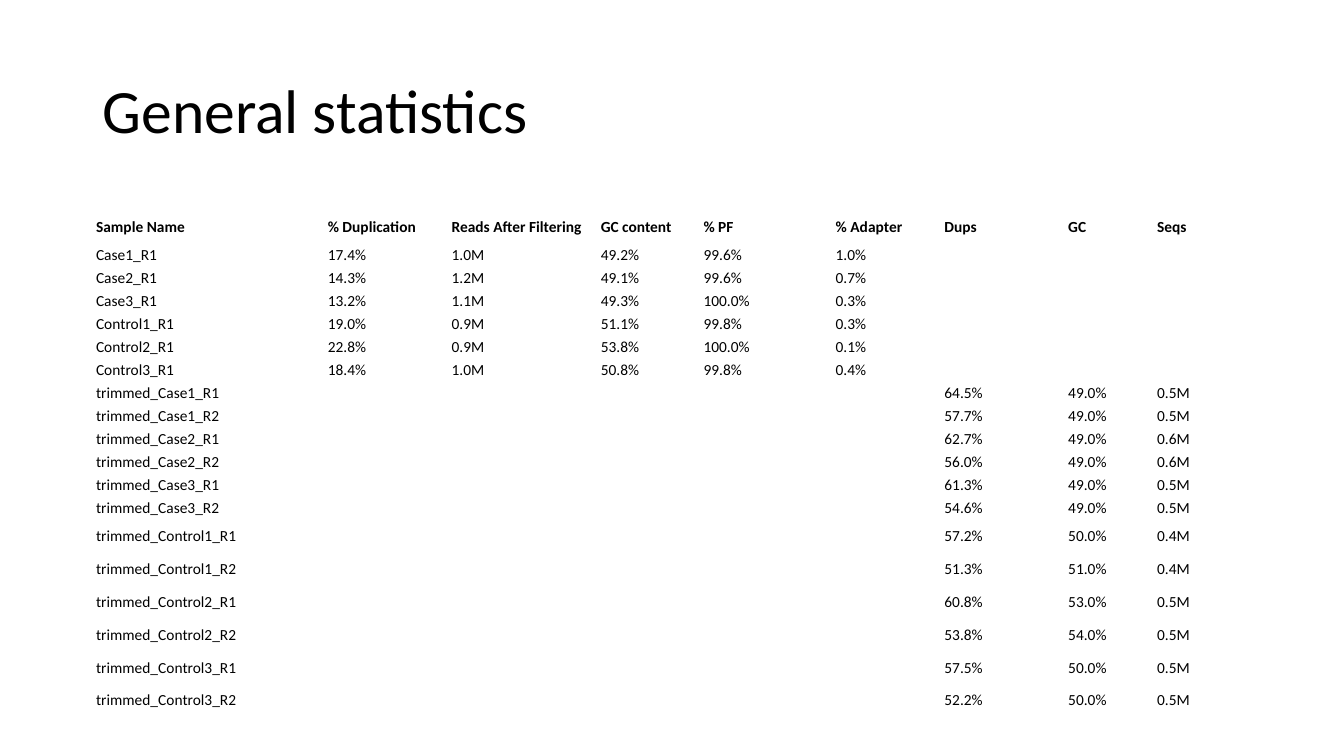
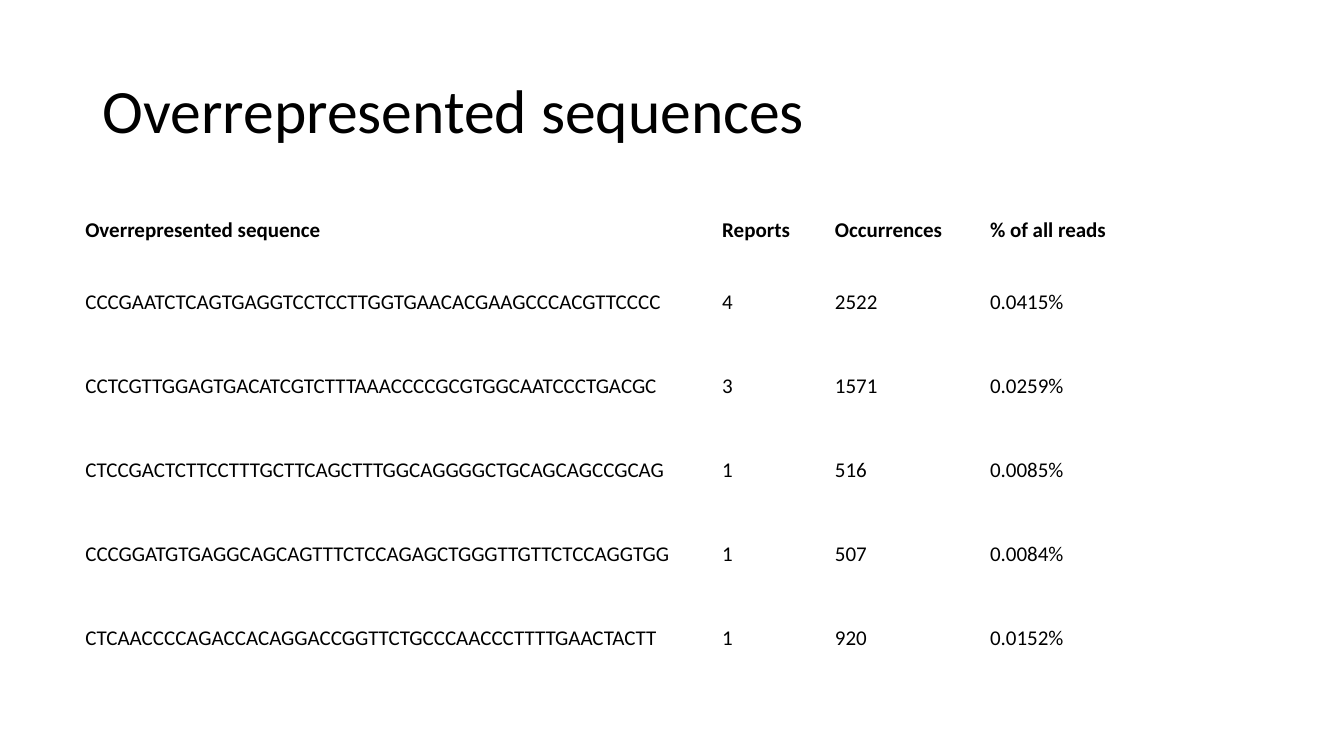
import lxml.etree
import pptx
import pptx.dml.color
import pptx.enum.text
import pptx.oxml.ns
import pptx.util

Cm = pptx.util.Cm
Pt = pptx.util.Pt
BLACK = pptx.dml.color.RGBColor(0, 0, 0)
MIDDLE = pptx.enum.text.MSO_ANCHOR.MIDDLE
FONT = "Calibri"

HEADS = ("Sample Name", "% Duplication", "Reads After Filtering", "GC content",
         "% PF", "% Adapter", "Dups", "GC", "Seqs")
RAW = (
    ("Case1_R1", "17.4%", "1.0M", "49.2%", "99.6%", "1.0%"),
    ("Case2_R1", "14.3%", "1.2M", "49.1%", "99.6%", "0.7%"),
    ("Case3_R1", "13.2%", "1.1M", "49.3%", "100.0%", "0.3%"),
    ("Control1_R1", "19.0%", "0.9M", "51.1%", "99.8%", "0.3%"),
    ("Control2_R1", "22.8%", "0.9M", "53.8%", "100.0%", "0.1%"),
    ("Control3_R1", "18.4%", "1.0M", "50.8%", "99.8%", "0.4%"),
)
TRIMMED = (
    ("trimmed_Case1_R1", "64.5%", "49.0%", "0.5M"),
    ("trimmed_Case1_R2", "57.7%", "49.0%", "0.5M"),
    ("trimmed_Case2_R1", "62.7%", "49.0%", "0.6M"),
    ("trimmed_Case2_R2", "56.0%", "49.0%", "0.6M"),
    ("trimmed_Case3_R1", "61.3%", "49.0%", "0.5M"),
    ("trimmed_Case3_R2", "54.6%", "49.0%", "0.5M"),
    ("trimmed_Control1_R1", "57.2%", "50.0%", "0.4M"),
    ("trimmed_Control1_R2", "51.3%", "51.0%", "0.4M"),
    ("trimmed_Control2_R1", "60.8%", "53.0%", "0.5M"),
    ("trimmed_Control2_R2", "53.8%", "54.0%", "0.5M"),
    ("trimmed_Control3_R1", "57.5%", "50.0%", "0.5M"),
    ("trimmed_Control3_R2", "52.2%", "50.0%", "0.5M"),
)
READS = (
    ("Overrepresented sequence", "Reports", "Occurrences", "% of all reads"),
    ("CCCGAATCTCAGTGAGGTCCTCCTTGGTGAACACGAAGCCCACGTTCCCC", "4", "2522", "0.0415%"),
    ("CCTCGTTGGAGTGACATCGTCTTTAAACCCCGCGTGGCAATCCCTGACGC", "3", "1571", "0.0259%"),
    ("CTCCGACTCTTCCTTTGCTTCAGCTTTGGCAGGGGCTGCAGCAGCCGCAG", "1", "516", "0.0085%"),
    ("CCCGGATGTGAGGCAGCAGTTTCTCCAGAGCTGGGTTGTTCTCCAGGTGG", "1", "507", "0.0084%"),
    ("CTCAACCCCAGACCACAGGACCGGTTCTGCCCAACCCTTTTGAACTACTT", "1", "920", "0.0152%"),
)


def apply(target, values):
    for name, value in values.items():
        setattr(target, name, value)


class Deck:
    def __init__(self):
        self.file = pptx.Presentation()
        apply(self.file, {"slide_width": Cm(33.87), "slide_height": Cm(19.05)})
        self.slide = None

    def start(self, title):
        self.slide = self.file.slides.add_slide(self.file.slide_layouts[6])
        box = self.slide.shapes.add_textbox(Cm(2.34), Cm(1.01), Cm(29.21), Cm(3.68))
        apply(box.text_frame, {"word_wrap": True, "vertical_anchor": MIDDLE})
        para = box.text_frame.paragraphs[0]
        para.line_spacing = 0.9
        self.label(para, title, 44)

    def label(self, para, text, size, bold=False):
        run = para.add_run()
        run.text = text
        apply(run.font, {"name": FONT, "size": Pt(size), "bold": bold})
        run.font.color.rgb = BLACK

    def table(self, left, top, widths, heights, rows, size, pad):
        frame = self.slide.shapes.add_table(
            len(rows), len(widths), Cm(left), Cm(top),
            Cm(sum(widths)), Cm(sum(heights)))
        grid = frame.table
        apply(grid, {"first_row": False, "horz_banding": False})
        for col, width in zip(grid.columns, widths):
            col.width = Cm(width)
        for line, height in zip(grid.rows, heights):
            line.height = Cm(height)
        for y, row in enumerate(rows):
            for x, text in enumerate(row):
                self.cell(grid.cell(y, x), text, size, pad, bold=y == 0)

    def cell(self, cell, text, size, pad, bold):
        side, edge = Cm(pad), Cm(pad / 2)
        apply(cell, {"margin_left": side, "margin_right": side,
                     "margin_top": edge, "margin_bottom": edge,
                     "vertical_anchor": MIDDLE})
        cell.fill.background()
        para = cell.text_frame.paragraphs[0]
        if text:
            self.label(para, text, size, bold)
        else:
            lxml.etree.SubElement(
                para._p, pptx.oxml.ns.qn("a:endParaRPr"), sz=str(size * 100))


def main():
    deck = Deck()

    deck.start("General statistics")
    stats = [HEADS]
    stats += [row + ("",) * 3 for row in RAW]
    stats += [row[:1] + ("",) * 5 + row[1:] for row in TRIMMED]
    deck.table(2.34, 5.3,
               (5.84, 3.12, 3.76, 2.59, 3.33, 2.74, 3.12, 2.24, 2.06),
               [0.83] + [0.58] * 12 + [0.83] * 6, stats, 11, 0.08)

    deck.start("Overrepresented sequences")
    deck.table(1.95, 5.08, (16.05, 2.84, 3.91, 4.34),
               [1.47] + [2.12] * 5, READS, 15, 0.2)

    deck.file.save("out.pptx")


if __name__ == "__main__":
    main()
